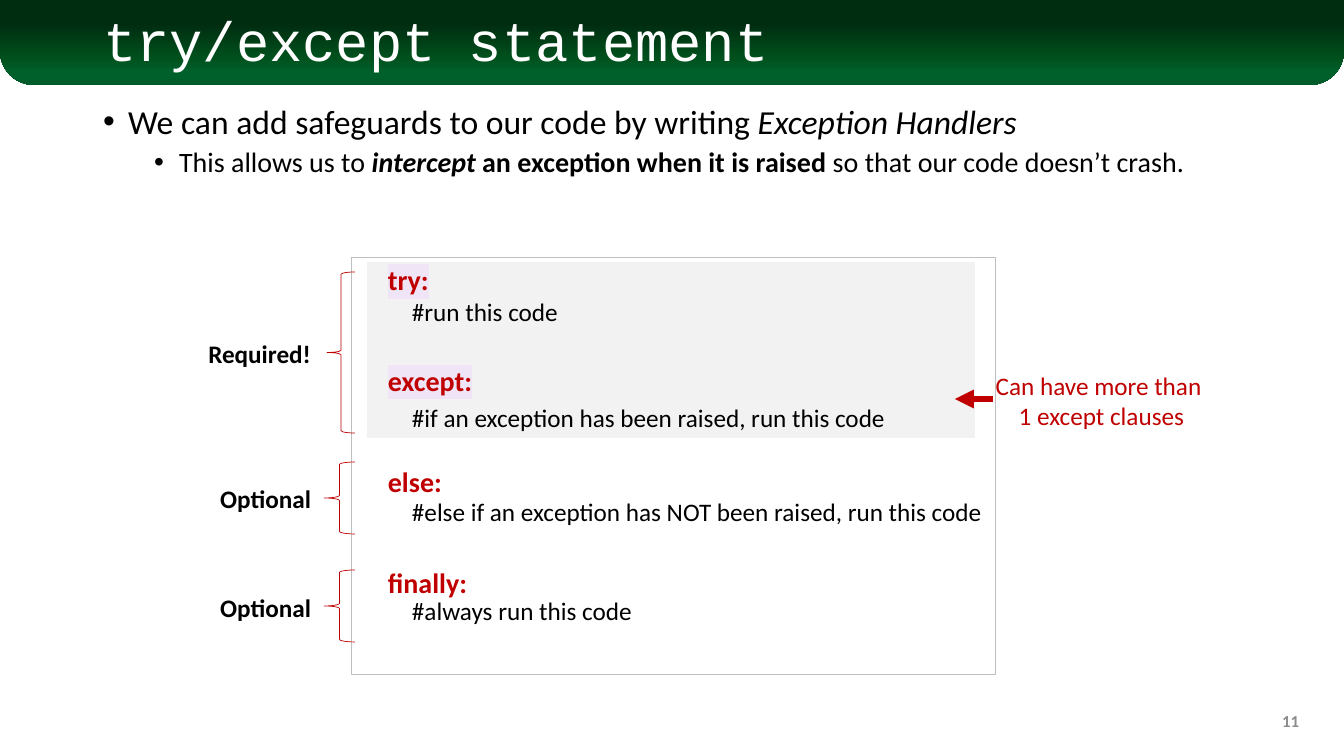
from lxml.etree import SubElement
from pptx import Presentation
from pptx.dml.color import RGBColor
from pptx.enum.shapes import MSO_CONNECTOR, MSO_SHAPE
from pptx.enum.text import MSO_ANCHOR, MSO_AUTO_SIZE, PP_ALIGN
from pptx.oxml import parse_xml
from pptx.oxml.ns import nsdecls, qn
from pptx.util import Emu, Pt

PIXEL = 914400 / 100.8
RED, BLACK, WHITE = "C00000", "000000", "FFFFFF"


def place(shape, left, top, width, height):
    """Set the bounds of a shape in px."""
    bounds = {"left": left, "top": top, "width": width, "height": height}
    for name, value in bounds.items():
        setattr(shape, name, Emu(round(value * PIXEL)))


def add_run(paragraph, text, color=BLACK, size=18, **font_format):
    run = paragraph.add_run()
    run.text = text
    run.font.color.rgb = RGBColor.from_string(color)
    for name, value in {"name": "Calibri", "size": Pt(size), **font_format}.items():
        setattr(run.font, name, value)
    return run


presentation = Presentation()
presentation.slide_width = Emu(round(1344 * PIXEL))
presentation.slide_height = Emu(round(756 * PIXEL))
slide = presentation.slides.add_slide(presentation.slide_layouts[1])
shapes = slide.shapes
title, body = shapes.title, slide.placeholders[1]

# Header band, kept behind the title
band = shapes.add_shape(MSO_SHAPE.ROUND_2_SAME_RECTANGLE, 0, 0, 0, 0)
place(band, 0, 0, 1344, 85)
band.adjustments[0], band.adjustments[1] = 0, 0.4
band.shadow.inherit = False
band.line.fill.background()
band.fill.gradient()
band.fill.gradient_angle = 270
stop_list = band.fill._fill._gradFill.find(qn("a:gsLst"))
for stop in list(stop_list):
    stop_list.remove(stop)
for percent, color in [(28, "002D10"), (68, "00501D"), (85, "00602B"), (100, "005C2B")]:
    stop_list.append(parse_xml(
        f'<a:gs {nsdecls("a")} pos="{percent * 1000}"><a:srgbClr val="{color}"/></a:gs>'))
title._element.addprevious(band._element)

# Title
place(title, 93, 13, 1159, 61)
title.text_frame.auto_size = MSO_AUTO_SIZE.NONE
title.text_frame.vertical_anchor = MSO_ANCHOR.MIDDLE
paragraph = title.text_frame.paragraphs[0]
paragraph.alignment = PP_ALIGN.LEFT
paragraph.line_spacing = 0.9
add_run(paragraph, "try/except statement", WHITE, 39.6, name="Courier New")

# Bullet list
place(body, 93, 100, 1159, 581)
body.text_frame.auto_size = MSO_AUTO_SIZE.NONE
bullets = [
    (24, 10, 25, [("We can add safeguards to our code by writing ", {}),
                  ("Exception Handlers", {"italic": True})]),
    (20, 5, 76, [("This allows us to ", {}),
                 ("intercept", {"bold": True, "italic": True}),
                 (" an exception when it is raised ", {"bold": True}),
                 ("so that our code doesn’t crash.", {})]),
]
for level, (size, space_before, margin, runs) in enumerate(bullets):
    paragraph = body.text_frame.paragraphs[0] if level == 0 else body.text_frame.add_paragraph()
    paragraph.level = level
    paragraph.line_spacing = 0.9
    paragraph.space_before = Pt(space_before)
    properties = paragraph._p.get_or_add_pPr()
    properties.set("marL", str(round(margin * PIXEL)))
    properties.set("indent", str(round(-25 * PIXEL)))
    SubElement(properties, qn("a:buFont"), typeface="Arial")
    SubElement(properties, qn("a:buChar"), char="•")
    for text, font_format in runs:
        add_run(paragraph, text, BLACK, size, **font_format)

# Code frame with the required part shaded
shade = shapes.add_shape(MSO_SHAPE.RECTANGLE, 0, 0, 0, 0)
place(shade, 367, 262, 608, 176)
shade.shadow.inherit = False
shade.fill.solid()
shade.fill.fore_color.rgb = RGBColor.from_string("F2F2F2")
shade.line.fill.background()

frame = shapes.add_shape(MSO_SHAPE.RECTANGLE, 0, 0, 0, 0)
place(frame, 352, 258, 644, 417)
frame.shadow.inherit = False
frame.fill.background()
frame.line.color.rgb = RGBColor.from_string("BFBFBF")
frame.line.width = Pt(0.75)
frame.text_frame.vertical_anchor = MSO_ANCHOR.TOP
for index, keyword in enumerate(["try:", "except:", "else:", "finally:"]):
    paragraph = frame.text_frame.paragraphs[0] if index == 0 else frame.text_frame.add_paragraph()
    paragraph.alignment = PP_ALIGN.LEFT
    paragraph.space_before = Pt(48 if index else 0)
    paragraph._p.get_or_add_pPr().set("marL", str(round(26 * PIXEL)))
    run = add_run(paragraph, keyword, RED, 20, bold=True)
    if index < 2:
        run._r.rPr.find(qn("a:latin")).addprevious(parse_xml(
            f'<a:highlight {nsdecls("a")}><a:srgbClr val="EFE5F7"/></a:highlight>'))

# Braces that mark each part
for left, top, width, height in [(327, 272, 28, 161), (324, 462, 31, 72), (324, 570, 31, 72)]:
    brace = shapes.add_shape(MSO_SHAPE.LEFT_BRACE, 0, 0, 0, 0)
    place(brace, left, top, width, height)
    brace.shadow.inherit = False
    brace.fill.background()
    brace.line.color.rgb = RGBColor.from_string(RED)
    brace.line.width = Pt(0.5)

# Comments, labels, note and slide number
left, center, right = PP_ALIGN.LEFT, PP_ALIGN.CENTER, PP_ALIGN.RIGHT
texts = [
    ("#run this code", (402, 291, 175, 40), left, {}),
    ("#if an exception has been raised, run this code", (402, 397, 500, 40), left, {}),
    ("#else if an exception has NOT been raised, run this code", (402, 491, 598, 40), left, {}),
    ("#always run this code", (402, 590, 249, 40), left, {}),
    ("Required!", (191, 333, 130, 40), right, {"bold": True}),
    ("Optional", (191, 478, 130, 40), right, {"bold": True}),
    ("Optional", (191, 587, 130, 40), right, {"bold": True}),
    ("Can have more than \v1 except clauses", (952, 365, 299, 71), center, {"color": RED}),
    ("11", (1007, 701, 302, 40), right, {"color": "8C8C8C", "size": 12, "bold": True}),
]
for text, bounds, alignment, font_format in texts:
    box = shapes.add_textbox(0, 0, 0, 0)
    place(box, *bounds)
    box.text_frame.word_wrap = True
    box.text_frame.vertical_anchor = MSO_ANCHOR.MIDDLE
    paragraph = box.text_frame.paragraphs[0]
    paragraph.alignment = alignment
    for index, line in enumerate(text.split("\v")):
        if index:
            paragraph.add_line_break()
        add_run(paragraph, line, **font_format)

# Arrow from the note to the except clause
ends = [Emu(round(value * PIXEL)) for value in (993, 399, 955, 399)]
arrow = shapes.add_connector(MSO_CONNECTOR.STRAIGHT, *ends)
arrow.line.color.rgb = RGBColor.from_string(RED)
arrow.line.width = Pt(4.5)
SubElement(arrow.line._get_or_add_ln(), qn("a:tailEnd"), type="triangle")
SubElement(arrow._element.spPr, qn("a:effectLst"))

presentation.save("out.pptx")
